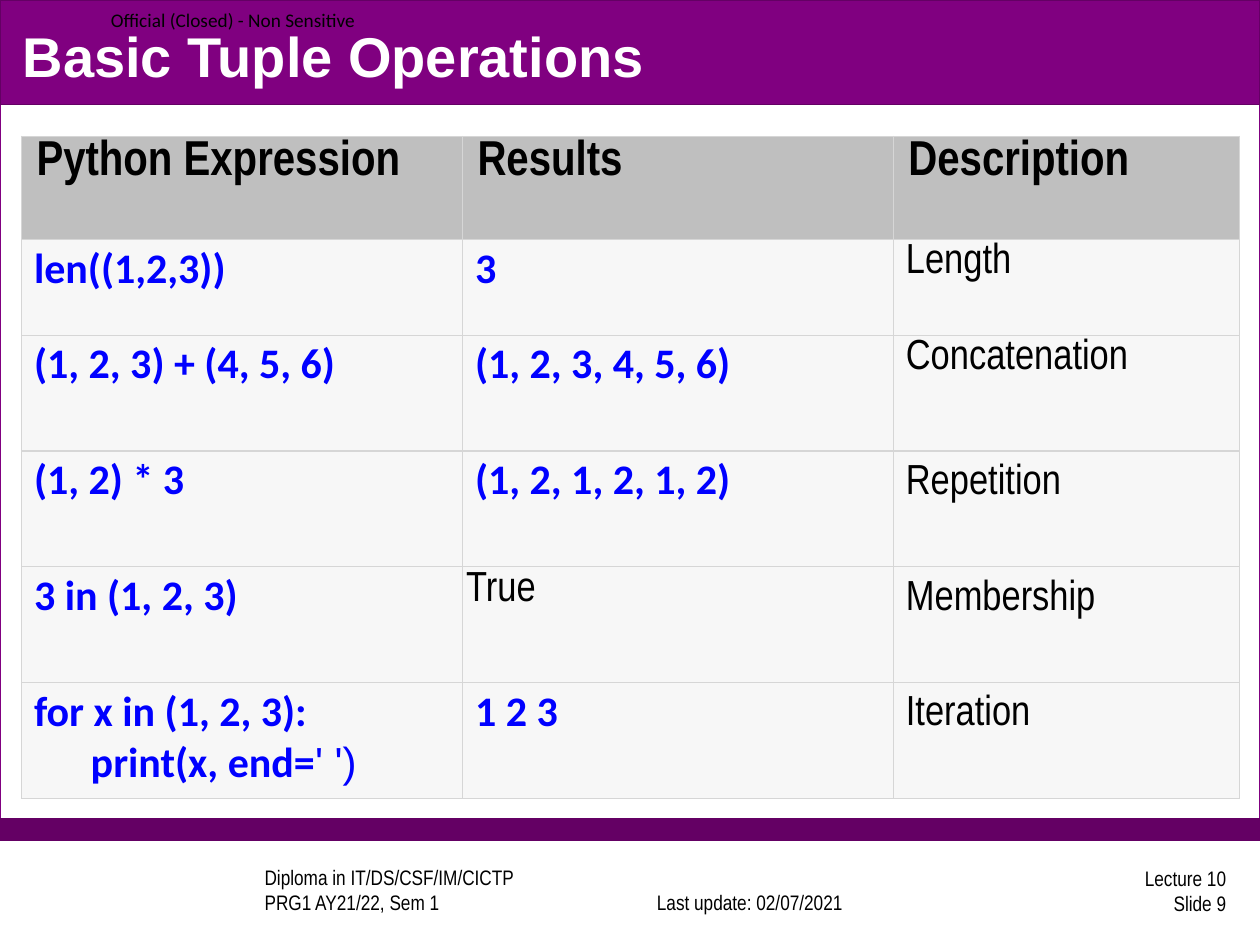
from lxml.etree import SubElement as Sub
from pptx import Presentation
from pptx.dml.color import RGBColor as RGB
from pptx.enum.shapes import MSO_SHAPE as Shape
from pptx.enum.text import MSO_ANCHOR as Anchor, MSO_AUTO_SIZE as Auto, PP_ALIGN as Align
from pptx.oxml.ns import qn
from pptx.util import Inches, Pt


def hue(code):
    return RGB.from_string(code)


def style(run, size, face, code, bold=False):
    font = run.font
    font.size, font.name, font.bold = Pt(size), face, bold
    font.color.rgb = hue(code)


deck = Presentation()
deck.slide_width, deck.slide_height = Inches(10), Inches(7.5)
slide = deck.slides.add_slide(deck.slide_layouts[5])
shapes = slide.shapes

bands = [
    (0, 6.67, "FFFFFF", "800080"),
    (6.5, 0.17, "640064", "640064"),
    (0, 0.83, "800080", "640064"),
]
for top, high, fill, edge in bands:
    band = shapes.add_shape(Shape.RECTANGLE, 0, Inches(top), Inches(10), Inches(high))
    band.shadow.inherit = False
    band.fill.solid()
    band.fill.fore_color.rgb = hue(fill)
    band.line.color.rgb = hue(edge)
    band.line.width = Pt(0.75)

narrow = "Arial Narrow"
notes = [
    ("Diploma in IT/DS/CSF/IM/CICTP\vPRG1 AY21/22, Sem 1",
     1.5, 6.89, 3.17, 0.42, 0.6, 0.05, Anchor.BOTTOM, Align.LEFT, 12, narrow),
    ("Last update: 02/07/2021",
     4.88, 6.89, 2.08, 0.42, 0.16, 0.05, Anchor.BOTTOM, Align.CENTER, 12, narrow),
    ("Lecture 10\vSlide 9",
     7.75, 6.86, 2.08, 0.42, 0.1, 0.05, Anchor.MIDDLE, Align.RIGHT, 12, narrow),
    ("Official (Closed) - Non Sensitive",
     0, 0, 3.01, 0.31, 0.88, 0, Anchor.MIDDLE, Align.LEFT, 11, "Calibri"),
]
for text, left, top, wide, high, inset, pad, anchor, align, size, face in notes:
    box = shapes.add_textbox(Inches(left), Inches(top), Inches(wide), Inches(high))
    frame = box.text_frame
    frame.word_wrap = True
    frame.vertical_anchor = anchor
    frame.margin_left = Inches(inset)
    frame.margin_right = Inches(2 * pad)
    frame.margin_top = frame.margin_bottom = Inches(pad)
    frame.text = text
    para = frame.paragraphs[0]
    para.alignment = align
    for run in para.runs:
        style(run, size, face, "000000")

title = shapes.title
title.left, title.top = Inches(0.08), Inches(0.13)
title.width, title.height = Inches(9.83), Inches(0.62)
frame = title.text_frame
frame.text = "Basic Tuple Operations"
frame.auto_size = Auto.NONE
frame.vertical_anchor = Anchor.MIDDLE
frame.paragraphs[0].alignment = Align.LEFT
style(frame.paragraphs[0].runs[0], 32, "Arial", "FFFFFF", True)
shapes.element.append(title.element)

rows = [
    ("Python Expression", "Results", "Description"),
    ("len((1,2,3))", "3", "Length"),
    ("(1, 2, 3) + (4, 5, 6)", "(1, 2, 3, 4, 5, 6)", "Concatenation"),
    ("(1, 2) * 3", "(1, 2, 1, 2, 1, 2)", "Repetition"),
    ("3 in (1, 2, 3)", "True", "Membership"),
    ("for x in (1, 2, 3):\nprint(x, end=", "1 2 3", "Iteration"),
]
grid = shapes.add_table(
    6, 3, Inches(0.17), Inches(1.08), Inches(9.67), Inches(5.25)).table
for col, wide in zip(grid.columns, (3.5, 3.42, 2.75)):
    col.width = Inches(wide)
for row, high in zip(grid.rows, (0.82, 0.76, 0.92, 0.92, 0.92, 0.92)):
    row.height = Inches(high)

for r, row in enumerate(rows):
    for c, text in enumerate(row):
        cell = grid.cell(r, c)
        head, plain = r == 0, c == 2 or text == "True"
        cell.margin_left = Inches(0.12 if head else 0.03 if text == "True" else 0.1)
        cell.margin_right = cell.margin_bottom = Inches(0.03)
        cell.margin_top = Inches(0.1 if c == 2 and r > 2 else 0.03)
        cell.text_frame.text = text
        for para in cell.text_frame.paragraphs:
            if head:
                style(para.runs[0], 28, narrow, "000000", True)
            elif plain:
                style(para.runs[0], 24, narrow, "000000")
            else:
                style(para.runs[0], 24, "Calibri", "0000FF", True)
        props = cell._tc.get_or_add_tcPr()
        for side in ("a:lnL", "a:lnR", "a:lnT", "a:lnB"):
            line = Sub(props, qn(side), w=str(Pt(0.75)))
            Sub(Sub(line, qn("a:solidFill")), qn("a:srgbClr"), val="D6D6D6")
        cell.fill.solid()
        cell.fill.fore_color.rgb = hue("BFBFBF" if head else "F7F7F7")

para = grid.cell(5, 0).text_frame.paragraphs[1]
para._p.get_or_add_pPr().set("marL", str(Inches(0.45)))
tail = para.add_run()
tail.text = "' ')"
style(tail, 24, "Arial", "0000FF")

deck.save("out.pptx")
